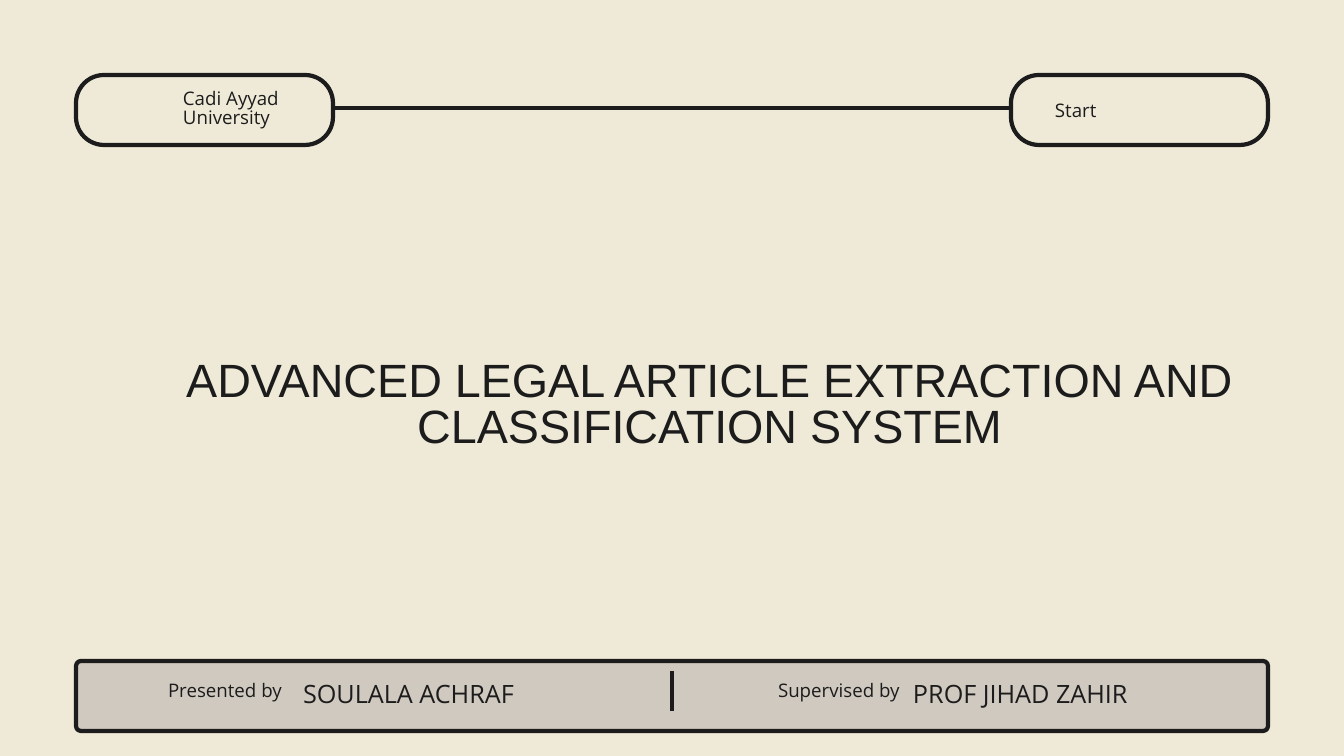
from lxml.etree import SubElement
from pptx import Presentation
from pptx.dml.color import RGBColor
from pptx.enum.shapes import MSO_CONNECTOR, MSO_SHAPE
from pptx.enum.text import MSO_ANCHOR, MSO_AUTO_SIZE, PP_ALIGN
from pptx.oxml.ns import qn
from pptx.util import Emu, Pt

COLORS = {"paper": "EFEAD8", "bar": "D0C9C0", "ink": "1C1C1C"}
SLIDE_SIZE = (1344, 756)
LINE_WIDTH = 4.5

# Content: text, box in px, font size, line spacing
TITLE = ("ADVANCED LEGAL ARTICLE EXTRACTION AND CLASSIFICATION SYSTEM",
         (108, 360, 1204, 99), 50, 50)
LABELS = [
    ("Cadi Ayyad University", (183, 91, 127, 37), 20, 20),
    ("Start", (1055, 103, 89, 18), 20, 20),
]
CREDITS = [  # caption, name, left of caption
    ("Presented by", "SOULALA ACHRAF", 168),
    ("Supervised by", "PROF JIHAD ZAHIR", 778),
]
CAPTION_WIDTH = 135

# Frames share one height and the same side margins
MARGIN, FRAME_HEIGHT = 76, 70
PILL_TOP, PILL_WIDTH, PILL_RADIUS = 75, 257, 28
BAR_TOP, BAR_RADIUS = 661, 5
RIGHT = SLIDE_SIZE[0] - MARGIN
CENTER = SLIDE_SIZE[0] // 2
LINK_Y = 108


def px(value):
    return Emu(round(value * 914400 / 67.2))


def color(name):
    return RGBColor.from_string(COLORS[name])


def add_frame(slide, left, top, width, radius, fill):
    shape = slide.shapes.add_shape(MSO_SHAPE.ROUNDED_RECTANGLE,
                                   *map(px, (left, top, width, FRAME_HEIGHT)))
    shape.adjustments[0] = radius / FRAME_HEIGHT
    shape.shadow.inherit = False
    shape.fill.solid()
    shape.fill.fore_color.rgb = color(fill)
    shape.line.color.rgb = color("ink")
    shape.line.width = Pt(LINE_WIDTH)


def add_line(slide, *ends):
    line = slide.shapes.add_connector(MSO_CONNECTOR.STRAIGHT, *map(px, ends))
    line.line.color.rgb = color("ink")
    line.line.width = Pt(LINE_WIDTH)
    SubElement(line.element.spPr, qn("a:effectLst"))


def write(shape, text, size, spacing, font="Open Sans", align=PP_ALIGN.LEFT):
    frame = shape.text_frame
    frame.margin_left = frame.margin_right = 0
    frame.margin_top = frame.margin_bottom = 0
    frame.word_wrap = True
    frame.auto_size = MSO_AUTO_SIZE.NONE
    frame.vertical_anchor = MSO_ANCHOR.TOP
    paragraph = frame.paragraphs[0]
    paragraph.alignment = align
    paragraph.line_spacing = Pt(spacing)
    run = paragraph.add_run()
    run.text = text
    run.font.size = Pt(size)
    run.font.name = font
    run.font.color.rgb = color("ink")


def add_text(slide, text, box, size, spacing):
    write(slide.shapes.add_textbox(*map(px, box)), text, size, spacing)


def main():
    presentation = Presentation()
    presentation.slide_width, presentation.slide_height = map(px, SLIDE_SIZE)
    slide = presentation.slides.add_slide(presentation.slide_layouts[5])
    slide.background.fill.solid()
    slide.background.fill.fore_color.rgb = color("paper")

    # Title
    text, box, size, spacing = TITLE
    title = slide.shapes.title
    title.left, title.top, title.width, title.height = map(px, box)
    write(title, text, size, spacing, "Arial", PP_ALIGN.CENTER)

    # Header: two pills and the line between them
    for left in (MARGIN, RIGHT - PILL_WIDTH):
        add_frame(slide, left, PILL_TOP, PILL_WIDTH, PILL_RADIUS, "paper")
    add_line(slide, MARGIN + PILL_WIDTH, LINK_Y, RIGHT - PILL_WIDTH, LINK_Y)
    for label in LABELS:
        add_text(slide, *label)

    # Footer: bar, divider and credits
    add_frame(slide, MARGIN, BAR_TOP, RIGHT - MARGIN, BAR_RADIUS, "bar")
    add_line(slide, CENTER, BAR_TOP + 10, CENTER, BAR_TOP + 50)
    for caption, name, left in CREDITS:
        add_text(slide, caption, (left, 683, CAPTION_WIDTH, 18), 20, 20)
        add_text(slide, name, (left + CAPTION_WIDTH, 673, 260, 34), 27, 37.8)

    presentation.save("out.pptx")


if __name__ == "__main__":
    main()
